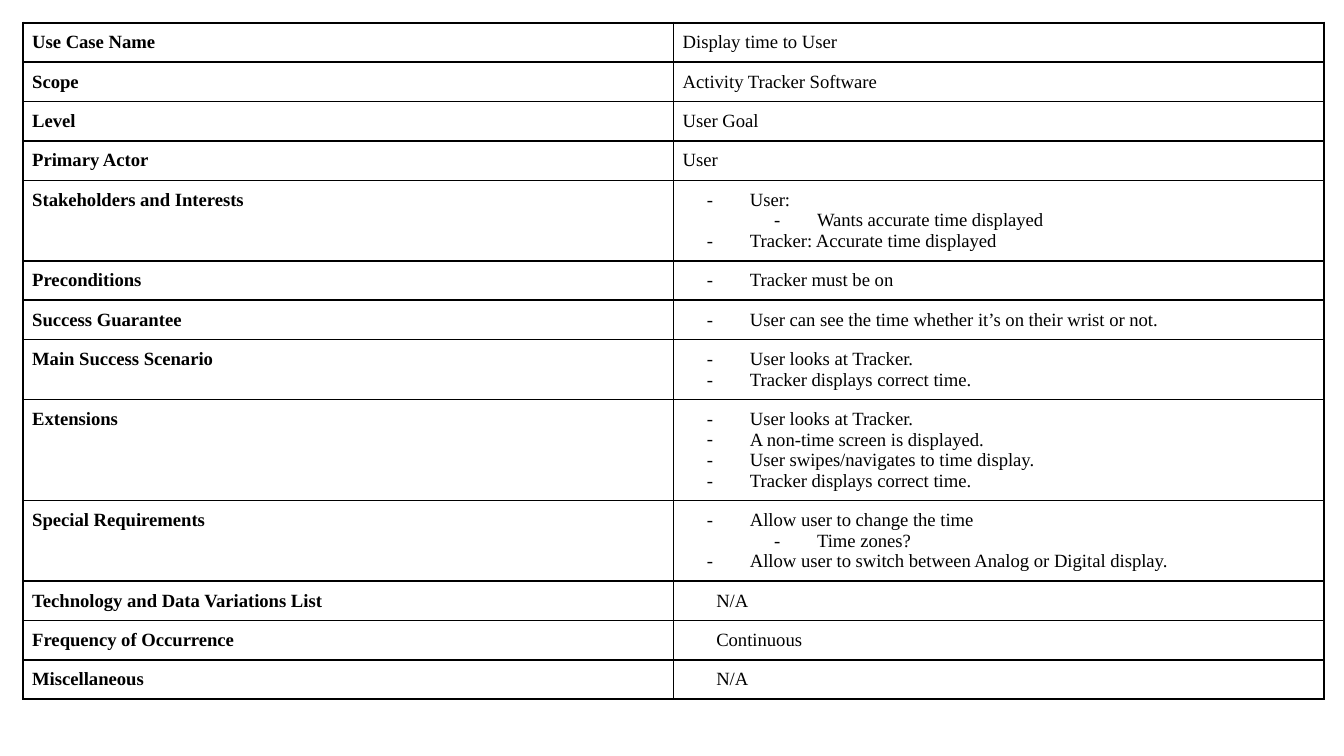
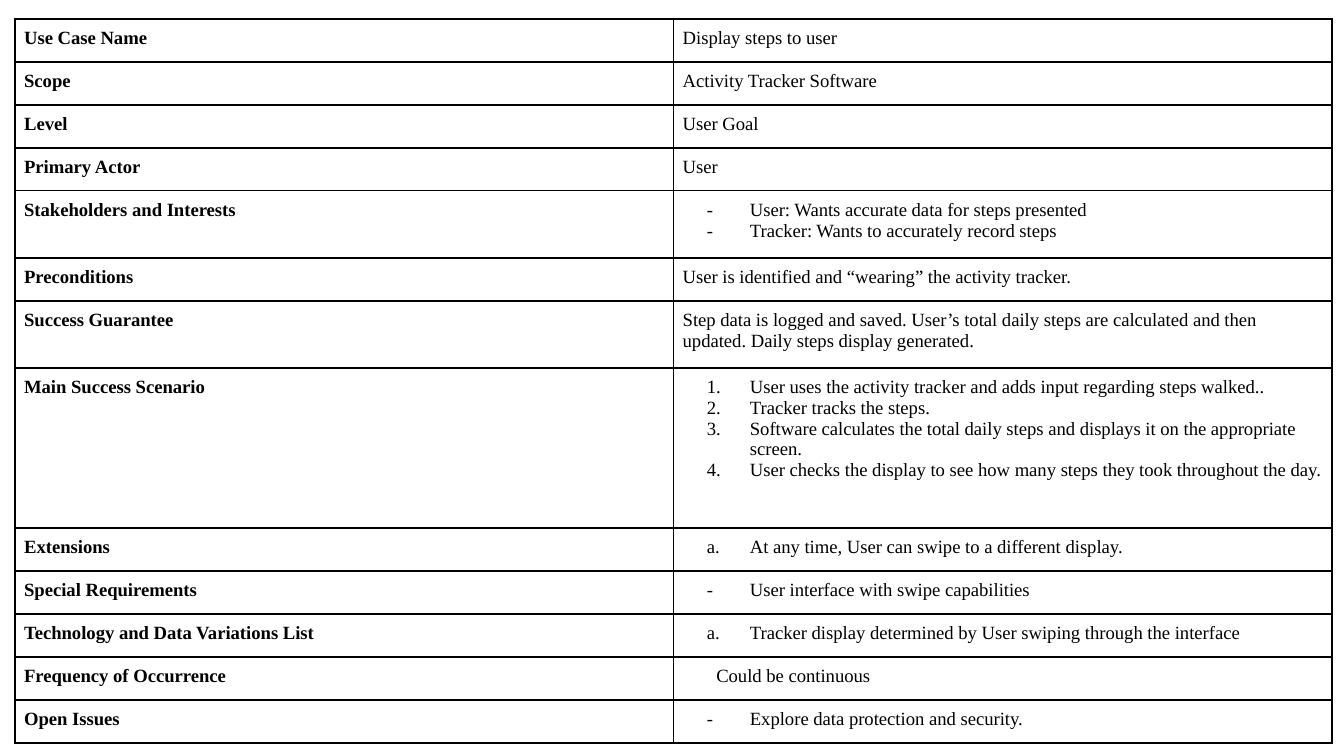
from lxml.etree import SubElement
from pptx import Presentation
from pptx.dml.color import RGBColor as RGB
from pptx.oxml.ns import qn
from pptx.util import Inches as In, Pt

WIDE, HIGH = Pt(720), Pt(405)
FONT, SIZE, PAD = "Times New Roman", 10, 0.07
COLORS = {"ink": "000000"}
THIN, THICK = 1, 1.5

# Paragraph kinds: level, left margin, first-line indent, bullet tag and its attributes
DASH, SUB, NUM, ALPHA, HANG, PLAIN = "dash", "sub", "num", "alpha", "hang", "plain"
KINDS = {
    DASH: (0, 0.5, -0.32, "a:buChar", {"char": "-"}),
    SUB: (1, 1, -0.32, "a:buChar", {"char": "-"}),
    NUM: (0, 0.5, -0.32, "a:buAutoNum", {"type": "arabicPeriod"}),
    ALPHA: (0, 0.5, -0.32, "a:buAutoNum", {"type": "alphaLcPeriod"}),
    HANG: (0, 0.5, -0.25, "a:buNone", {}),
    PLAIN: (0, 0, 0, "a:buNone", {}),
}

TIME = [
    ("Use Case Name", [(PLAIN, "Display time to User")]),
    ("Scope", [(PLAIN, "Activity Tracker Software")]),
    ("Level", [(PLAIN, "User Goal")]),
    ("Primary Actor", [(PLAIN, "User")]),
    ("Stakeholders and Interests", [
        (DASH, "User:"),
        (SUB, "Wants accurate time displayed"),
        (DASH, "Tracker: Accurate time displayed")]),
    ("Preconditions", [(DASH, "Tracker must be on")]),
    ("Success Guarantee", [
        (DASH, "User can see the time whether it’s on their wrist or not.")]),
    ("Main Success Scenario", [
        (DASH, "User looks at Tracker."),
        (DASH, "Tracker displays correct time.")]),
    ("Extensions", [
        (DASH, "User looks at Tracker."),
        (DASH, "A non-time screen is displayed."),
        (DASH, "User swipes/navigates to time display."),
        (DASH, "Tracker displays correct time.")]),
    ("Special Requirements", [
        (DASH, "Allow user to change the time"),
        (SUB, "Time zones?"),
        (DASH, "Allow user to switch between Analog or Digital display.")]),
    ("Technology and Data Variations List", [(HANG, "N/A")]),
    ("Frequency of Occurrence", [(HANG, "Continuous")]),
    ("Miscellaneous", [(HANG, "N/A")]),
]

STEPS = [
    ("Use Case Name", [(PLAIN, "Display steps to user")]),
    ("Scope", [(PLAIN, "Activity Tracker Software")]),
    ("Level", [(PLAIN, "User Goal")]),
    ("Primary Actor", [(PLAIN, "User")]),
    ("Stakeholders and Interests", [
        (DASH, "User: Wants accurate data for steps presented"),
        (DASH, "Tracker: Wants to accurately record steps")]),
    ("Preconditions", [
        (PLAIN, "User is identified and “wearing” the activity tracker.")]),
    ("Success Guarantee", [
        (PLAIN, "Step data is logged and saved. User’s total daily steps are "
                "calculated and then updated. Daily steps display generated.")]),
    ("Main Success Scenario", [
        (NUM, "User uses the activity tracker and adds input regarding steps walked.."),
        (NUM, "Tracker tracks the steps."),
        (NUM, "Software calculates the total daily steps and displays it on "
              "the appropriate screen."),
        (NUM, "User checks the display to see how many steps they took "
              "throughout the day.")]),
    ("Extensions", [(ALPHA, "At any time, User can swipe to a different display.")]),
    ("Special Requirements", [(DASH, "User interface with swipe capabilities")]),
    ("Technology and Data Variations List", [
        (ALPHA, "Tracker display determined by User swiping through the interface")]),
    ("Frequency of Occurrence", [(HANG, "Could be continuous")]),
    ("Open Issues", [(DASH, "Explore data protection and security.")]),
]

# Rows, left, top, column width, usual row height, heights of special rows.
# The rows of the first table start flat and grow to fit their text.
SLIDES = [
    (TIME, 0.17, 0.17, 4.84, 0.01, {}),
    (STEPS, 0.11, 0.14, 4.9, 0.32, {
        "Stakeholders and Interests": 0.5,
        "Success Guarantee": 0.5,
        "Main Success Scenario": 1.19}),
]


def frame(cell, top):
    """Draw the four borders, with their own width at the top."""
    props = cell._tc.get_or_add_tcPr()
    for side in "LRTB":
        width = top if side == "T" else THIN
        line = SubElement(props, qn(f"a:ln{side}"), w=str(Pt(width)))
        fill = SubElement(line, qn("a:solidFill"))
        SubElement(fill, qn("a:srgbClr"), val=COLORS["ink"])
        SubElement(line, qn("a:prstDash"), val="solid")


def indent(para, kind):
    level, left, first, tag, attrs = KINDS[kind]
    para.level = level
    props = para._p.get_or_add_pPr()
    props.set("marL", str(In(left)))
    props.set("indent", str(In(first)))
    if attrs:
        tint = SubElement(props, qn("a:buClr"))
        SubElement(tint, qn("a:srgbClr"), val=COLORS["ink"])
        SubElement(props, qn("a:buFont"), typeface=FONT)
    SubElement(props, qn(tag), attrs)


def write(cell, lines, bold, top):
    cell.margin_left = cell.margin_right = In(PAD)
    cell.margin_top = cell.margin_bottom = In(PAD)
    frame(cell, top)
    cell.fill.background()
    text = cell.text_frame
    text.text = "\n".join(words for _, words in lines)
    for para, (kind, _) in zip(text.paragraphs, lines):
        indent(para, kind)
        for run in para.runs:
            font = run.font
            font.name, font.size, font.bold = FONT, Pt(SIZE), bold
            font.color.rgb = RGB.from_string(COLORS["ink"])


def draw(slide, rows, left, top, width, usual, tall):
    heights = [tall.get(name, usual) for name, _ in rows]
    table = slide.shapes.add_table(
        len(rows), 2, In(left), In(top), In(2 * width), In(sum(heights))).table
    table.first_row = table.horz_banding = False
    for col in table.columns:
        col.width = In(width)
    for i, (name, lines) in enumerate(rows):
        table.rows[i].height = In(heights[i])
        edge = THIN if i else THICK
        write(table.cell(i, 0), [(PLAIN, name)], True, edge)
        write(table.cell(i, 1), lines, False, edge)


def main():
    deck = Presentation()
    deck.slide_width, deck.slide_height = WIDE, HIGH
    blank = deck.slide_layouts[6]
    for plan in SLIDES:
        draw(deck.slides.add_slide(blank), *plan)
    deck.save("out.pptx")


if __name__ == "__main__":
    main()
